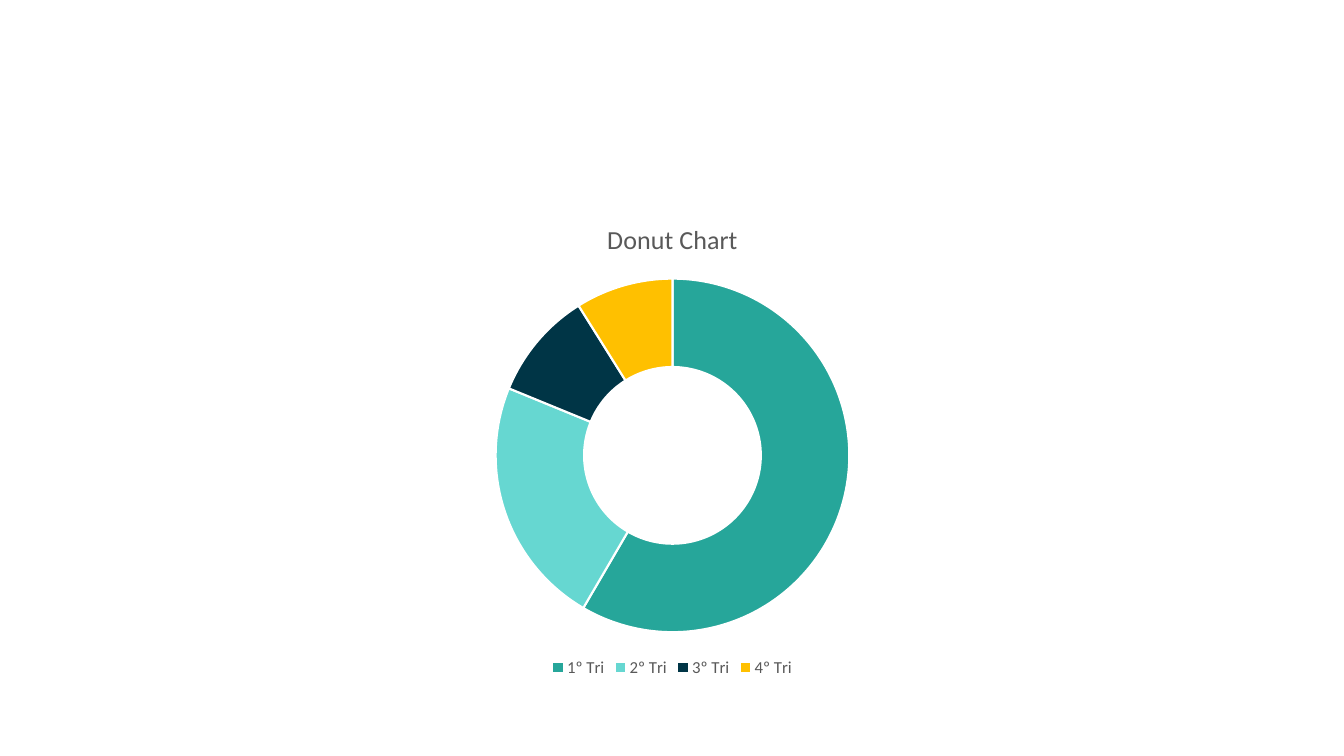
import dataclasses

import pptx
import pptx.chart.data
import pptx.dml.color
import pptx.enum.chart
import pptx.util

Inches = pptx.util.Inches


@dataclasses.dataclass(frozen=True)
class Theme:
    font: str = "Calibri"
    text: str = "595959"
    edge: str = "FFFFFF"
    slices: tuple = ("26A69A", "66D7D1", "003546", "FFC000")
    title_size: float = 18.6
    legend_size: float = 12
    edge_width: float = 1.5


THEME = Theme()
QUARTERS = {"1º Tri": 59, "2º Tri": 23, "3º Tri": 10, "4º Tri": 9}


def rgb(color):
    return pptx.dml.color.RGBColor.from_string(color)


def format_font(font, size, color=THEME.text, bold=False):
    font.name = THEME.font
    font.size = pptx.util.Pt(size)
    font.bold = bold
    font.color.rgb = rgb(color)


def write_text(tf, text, **font_format):
    p = tf.paragraphs[0]
    r = p.add_run()
    r.text = text
    format_font(r.font, **font_format)


def color_slices(series):
    for i, color in enumerate(THEME.slices):
        point = series.points[i].format
        point.fill.solid()
        point.fill.fore_color.rgb = rgb(color)
        point.line.color.rgb = rgb(THEME.edge)
        point.line.width = pptx.util.Pt(THEME.edge_width)


def add_donut(s, title, values, left, top, width, height, hole):
    data = pptx.chart.data.CategoryChartData()
    data.categories = list(values)
    data.add_series("Series 1", list(values.values()))
    kind = pptx.enum.chart.XL_CHART_TYPE.DOUGHNUT
    chart = s.shapes.add_chart(kind, left, top, width, height, data).chart
    format_font(chart.font, THEME.legend_size)

    chart.has_title = True
    write_text(chart.chart_title.text_frame, title, size=THEME.title_size)
    chart.chart_title.include_in_layout = False

    chart.has_legend = True
    chart.legend.position = pptx.enum.chart.XL_LEGEND_POSITION.BOTTOM
    chart.legend.include_in_layout = False
    format_font(chart.legend.font, THEME.legend_size)

    plot = chart.plots[0]
    plot.vary_by_categories = True
    color_slices(plot.series[0])
    for hole_size in chart.element.xpath(".//c:holeSize"):
        hole_size.set("val", str(hole))


def main():
    prs = pptx.Presentation()
    prs.slide_width = Inches(13.33)
    prs.slide_height = Inches(7.5)
    s = prs.slides.add_slide(prs.slide_layouts[6])
    add_donut(s, "Donut Chart", QUARTERS, Inches(0.92), Inches(2),
              Inches(11.5), Inches(4.76), hole=75)
    prs.save("out.pptx")


main()
